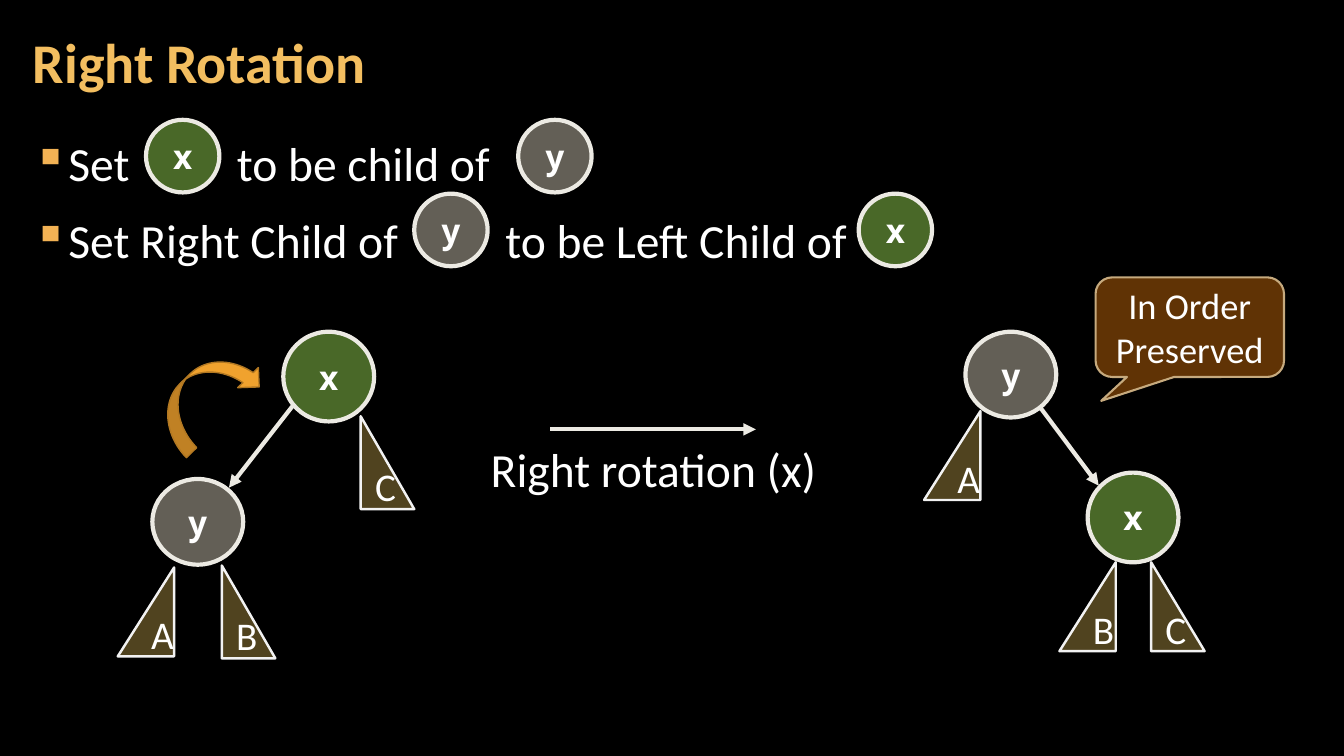
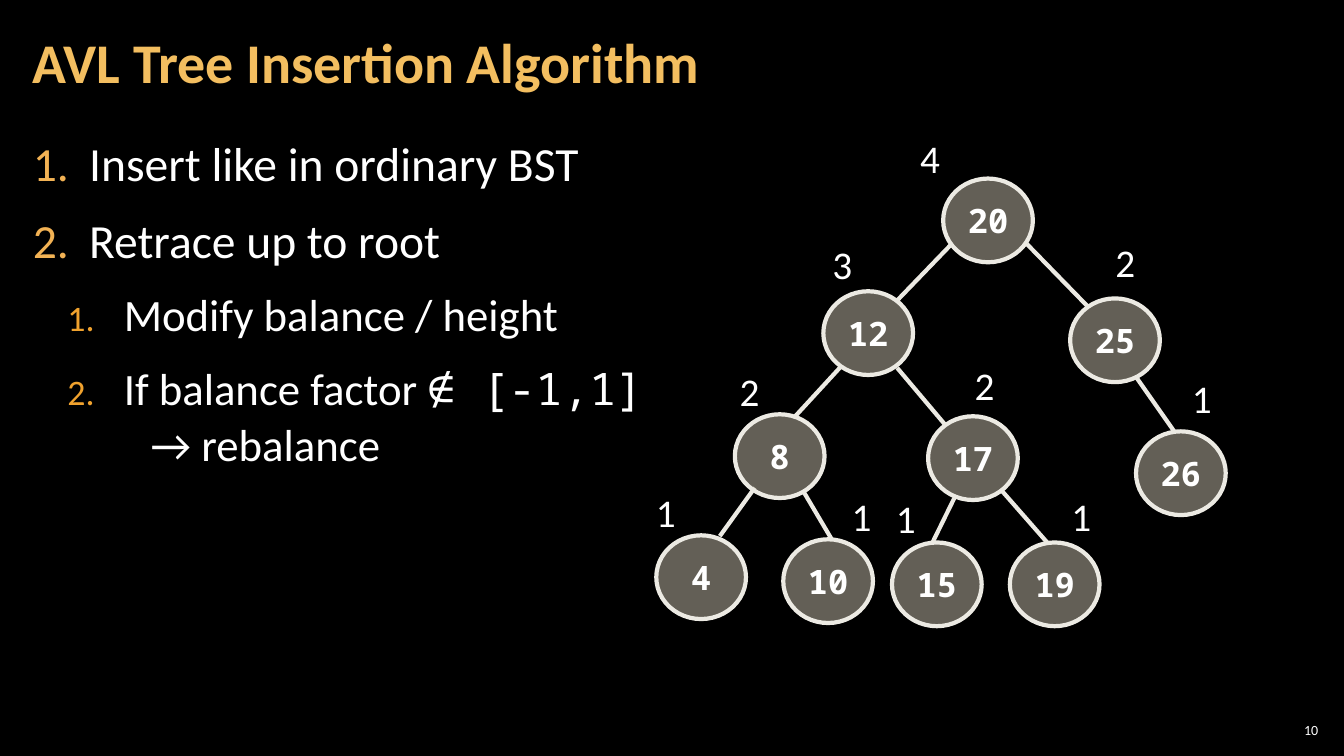
from lxml import etree
from pptx import Presentation
from pptx.dml.color import RGBColor
from pptx.enum import shapes as kinds, text as tx
from pptx.oxml.ns import qn
from pptx.util import Cm, Pt

BLACK = RGBColor(0x00, 0x00, 0x00)
WHITE = RGBColor(0xFF, 0xFF, 0xFF)
GOLD = RGBColor(0xF3, 0xBE, 0x60)
AMBER = RGBColor(0xF2, 0xB2, 0x54)
ORANGE = RGBColor(0xF0, 0xA2, 0x2E)
RUST = RGBColor(0xB2, 0x78, 0x22)
BROWN = RGBColor(0x66, 0x36, 0x06)
TAN = RGBColor(0xC6, 0xAA, 0x7E)
GREEN = RGBColor(0x92, 0xD0, 0x50)
STONE = RGBColor(0xC7, 0xBF, 0xAC)
SAND = RGBColor(0xF3, 0xCD, 0x60)
IVORY = RGBColor(0xEC, 0xEA, 0xE3)
PALE = RGBColor(0xF2, 0xF2, 0xF2)
SANS, MONO = "Calibri", "Noto Sans Mono"
LEFT, MID, RIGHT = tx.PP_ALIGN.LEFT, tx.PP_ALIGN.CENTER, tx.PP_ALIGN.RIGHT
MIDDLE = tx.MSO_ANCHOR.MIDDLE
FORM = kinds.MSO_SHAPE


def draw(page, kind, box, fill, solid, edge, width):
    """Add a filled shape; solid is its opacity in percent."""
    shape = page.shapes.add_shape(kind, *map(Cm, box))
    shape.shadow.inherit = False
    shape.fill.solid()
    shape.fill.fore_color.rgb = fill
    tint = shape.element.spPr.find(qn("a:solidFill"))[0]
    etree.SubElement(tint, qn("a:alpha"), val=str(solid * 1000))
    shape.line.color.rgb = edge
    shape.line.width = Pt(width)
    return shape


def write(shape, text, size, face=SANS, color=WHITE, bold=False, align=MID,
          wrap=True):
    """Set one paragraph of text and return it."""
    frame = shape.text_frame
    frame.word_wrap = wrap
    line = frame.paragraphs[0]
    line.text = text
    line.alignment = align
    line.font.size, line.font.name, line.font.bold = Pt(size), face, bold
    line.font.color.rgb = color
    return line


deck = Presentation()
deck.slide_width, deck.slide_height = Cm(33.87), Cm(19.05)
deck.slide_master.background.fill.solid()
deck.slide_master.background.fill.fore_color.rgb = BLACK

# Body items: level, then runs of (text, font, extra spacing in points).
# A wide space leaves room for a node within the sentence.
GAP = (" ", SANS, 69)
turns = [
    (0, [("Set", SANS, 0), GAP, ("to be child of", SANS, 0)]),
    (0, [("Set Right Child of", SANS, 0), GAP,
         ("to be Left Child of", SANS, 0)]),
]
steps = [
    (0, [("Insert like in ordinary BST", SANS, 0)]),
    (0, [("Retrace up to root", SANS, 0)]),
    (1, [("Modify balance / height", SANS, 0)]),
    (1, [("If balance factor ", SANS, 0), ("∉ [-1,1]", MONO, 0),
         ("\n", MONO, 0), (" ", MONO, 0), ("→ rebalance", SANS, 0)]),
]

# Titles and bodies
pages = []
for name, items, count in [("Right Rotation", turns, False),
                           ("AVL Tree Insertion Algorithm", steps, True)]:
    page = deck.slides.add_slide(deck.slide_layouts[5])
    pages.append(page)
    title = page.shapes.title
    title.left, title.top = Cm(0.53), Cm(0.1)
    title.width, title.height = Cm(26.6), Cm(3.07)
    write(title, name, 40, color=GOLD, bold=True, align=LEFT).line_spacing = 0.9
    title.text_frame.vertical_anchor = MIDDLE
    body = page.shapes.add_textbox(Cm(0.53), Cm(3.2), Cm(32.8), Cm(15.47))
    body.text_frame.word_wrap = True
    for box in (title, body):
        frame = box.text_frame
        frame.auto_size = tx.MSO_AUTO_SIZE.NONE
        frame.margin_left = frame.margin_right = Cm(0.3)
        frame.margin_top = frame.margin_bottom = Cm(0.1)

    for i, (level, runs) in enumerate(items):
        line = frame.paragraphs[0] if i == 0 else frame.add_paragraph()
        line.level = level
        line.line_spacing = 1.05
        line.space_before, line.space_after = Pt(6 if i else 0), Pt(6)
        # Bullet or number
        props = line._p.get_or_add_pPr()
        hang = 1.42 if count else 0.84
        props.set("marL", str(Cm(2.29 if level else hang)))
        props.set("indent", str(-Cm(hang)))
        tint = etree.SubElement(props, qn("a:buClr"))
        etree.SubElement(tint, qn("a:srgbClr"),
                         val=str(ORANGE if level else AMBER))
        if level:
            etree.SubElement(props, qn("a:buSzPct"), val="80000")
        if count:
            etree.SubElement(props, qn("a:buAutoNum"), type="arabicPeriod")
        else:
            etree.SubElement(props, qn("a:buChar"), char="▪")
        line.font.size = Pt(32 if level else 34)
        line.font.name = SANS
        line.font.color.rgb = WHITE
        for text, face, space in runs:
            if text == "\n":
                line.add_line_break()
                continue
            run = line.add_run()
            run.text = text
            if face != SANS:
                run.font.name = face
            if space:
                run.font._element.set("spc", str(space * 100))

turn, tree = pages

# Lines: page, arrowhead, ends
for page, arrow, ends in [
    (turn, True, (13.87, 10.82, 19.05, 10.82)),
    (turn, True, (7.39, 10.21, 5.77, 12.29)),
    (turn, True, (26.21, 10.26, 27.69, 12.24)),
    (tree, False, (23.98, 6.15, 22.61, 7.57)),
    (tree, False, (21.18, 9.25, 20.04, 10.49)),
    (tree, False, (22.61, 9.27, 23.85, 10.74)),
    (tree, False, (25.88, 6.15, 27.41, 7.72)),
    (tree, False, (28.63, 9.5, 29.59, 10.87)),
    (tree, False, (19.02, 12.29, 18.14, 13.51)),
    (tree, False, (20.24, 12.37, 20.96, 13.59)),
    (tree, False, (24.05, 12.55, 23.5, 13.67)),
    (tree, False, (25.25, 12.37, 26.39, 13.67)),
]:
    link = page.shapes.add_connector(kinds.MSO_CONNECTOR.STRAIGHT,
                                     *map(Cm, ends))
    link.line.color.rgb = IVORY
    link.line.width = Pt(3)
    if arrow:
        etree.SubElement(link.line._get_or_add_ln(), qn("a:tailEnd"),
                         type="triangle")
    etree.SubElement(link._element.spPr, qn("a:effectLst"))

# Nodes: page, key, fill, box
nodes = [
    (turn, "x", GREEN, (7.14, 8.36, 2.29, 2.26)),
    (turn, "y", STONE, (3.84, 12.07, 2.29, 2.16)),
    (turn, "x", GREEN, (27.41, 11.91, 2.29, 2.26)),
    (turn, "y", STONE, (24.33, 8.36, 2.29, 2.16)),
    (turn, "x", GREEN, (3.68, 3.02, 1.85, 1.83)),
    (turn, "y", STONE, (13.06, 3.02, 1.85, 1.83)),
    (turn, "y", STONE, (10.44, 4.88, 1.85, 1.83)),
    (turn, "x", GREEN, (21.64, 4.88, 1.85, 1.83)),
]

# Tree: key and its place, height and its place
for key, x, y, height, left, top in [
    (20, 23.77, 4.5, 4, 22.94, 3.25),
    (25, 26.97, 7.52, 2, 27.86, 5.89),
    (12, 20.75, 7.34, 3, 20.73, 5.92),
    (8, 18.52, 10.44, 2, 18.39, 9.14),
    (17, 23.39, 10.49, 2, 24.31, 8.97),
    (26, 28.63, 10.87, 1, 29.79, 9.3),
    (4, 16.54, 13.49, 1, 16.28, 12.17),
    (10, 19.74, 13.59, 1, 21.21, 12.27),
    (15, 22.48, 13.67, 1, 22.33, 12.32),
    (19, 25.45, 13.67, 1, 26.75, 12.27),
]:
    nodes.append((tree, str(key), STONE, (x, y, 2.26, 2.11)))
    label = tree.shapes.add_textbox(Cm(left), Cm(top), Cm(1.07), Cm(1.45))
    write(label, str(height), 28, align=LEFT)

for page, key, fill, box in nodes:
    node = draw(page, FORM.OVAL, box, fill, 50, IVORY, 3)
    write(node, key, 24, MONO, bold=True, wrap=False)

# Subtrees: name, mirrored, place, height
for name, flip, x, y, high in [
    ("B", False, 5.59, 14.25, 2.34),
    ("A", True, 2.97, 14.3, 2.24),
    ("C", False, 9.09, 10.49, 2.34),
    ("A", True, 23.29, 10.36, 2.24),
    ("C", False, 29.01, 14.17, 2.24),
    ("B", True, 26.7, 14.17, 2.24),
]:
    part = draw(turn, FORM.RIGHT_TRIANGLE,
                (x, y, 1.42 if flip else 1.35, high), SAND, 33, PALE, 1.75)
    if flip:
        part.element.spPr.xfrm.set("flipH", "1")
    write(part, name, 28)

# Turning arrow, caption and callout
bend = draw(turn, FORM.CURVED_DOWN_ARROW, (3.78, 9.27, 2.92, 1.45),
            ORANGE, 100, RUST, 1)
bend.rotation = 315.8
label = turn.shapes.add_textbox(Cm(10.49), Cm(11.1), Cm(11.96), Cm(1.65))
label.text_frame.margin_top = Cm(0.1)
write(label, "Right rotation (x)", 34).line_spacing = 0.95
note = draw(turn, FORM.ROUNDED_RECTANGULAR_CALLOUT, (27.61, 6.99, 4.75, 2.51),
            BROWN, 95, TAN, 1.5)
note.adjustments[0], note.adjustments[1] = -0.47, 0.74
write(note, "In Order Preserved", 26)

# Page number
label = tree.shapes.add_textbox(Cm(32.13), Cm(18.14), Cm(1.19), Cm(0.53))
frame = label.text_frame
frame.margin_left = frame.margin_right = Cm(0.1)
frame.margin_top = frame.margin_bottom = Cm(0.1)
frame.vertical_anchor = MIDDLE
write(label, "10", 10, align=RIGHT)

deck.save("out.pptx")
